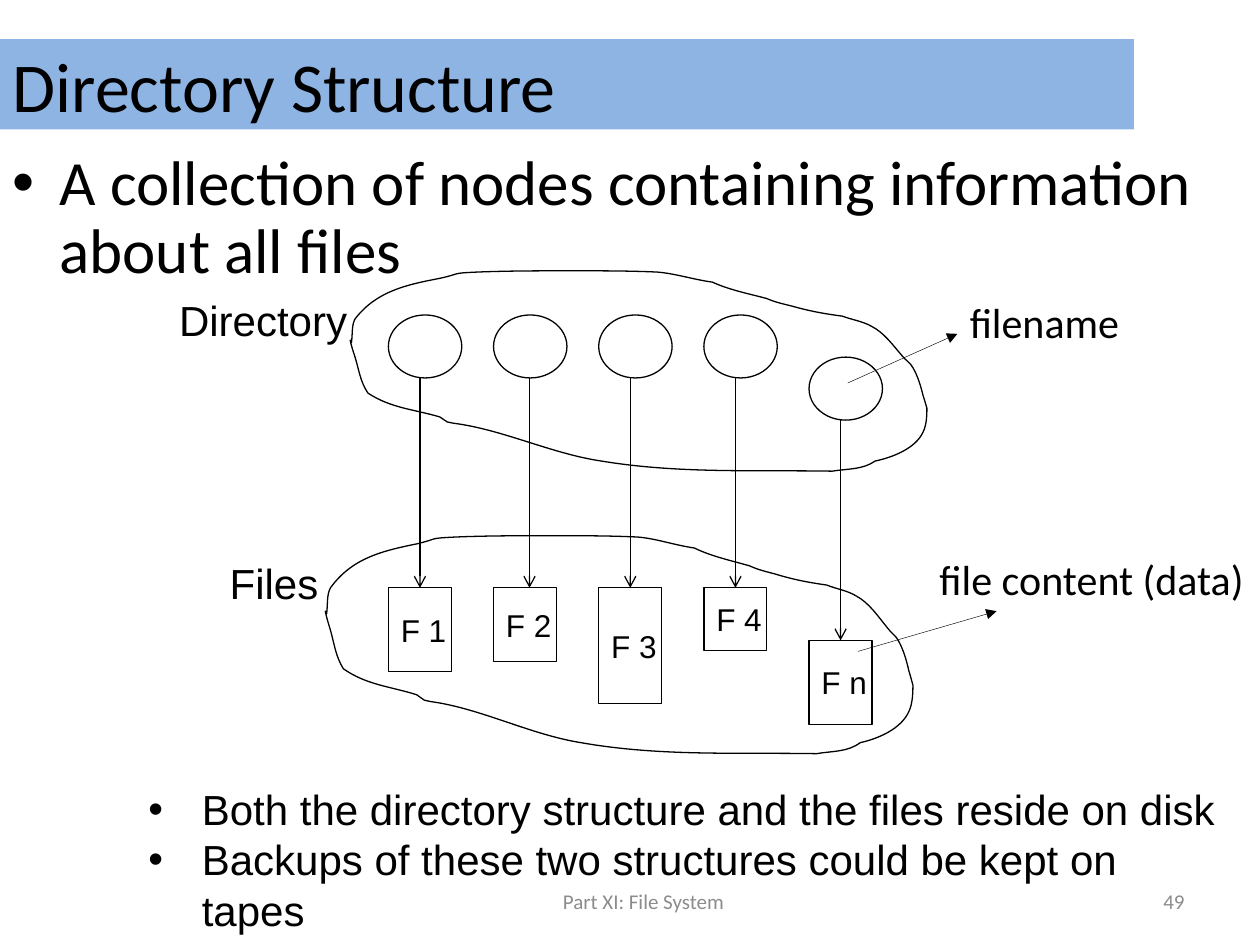
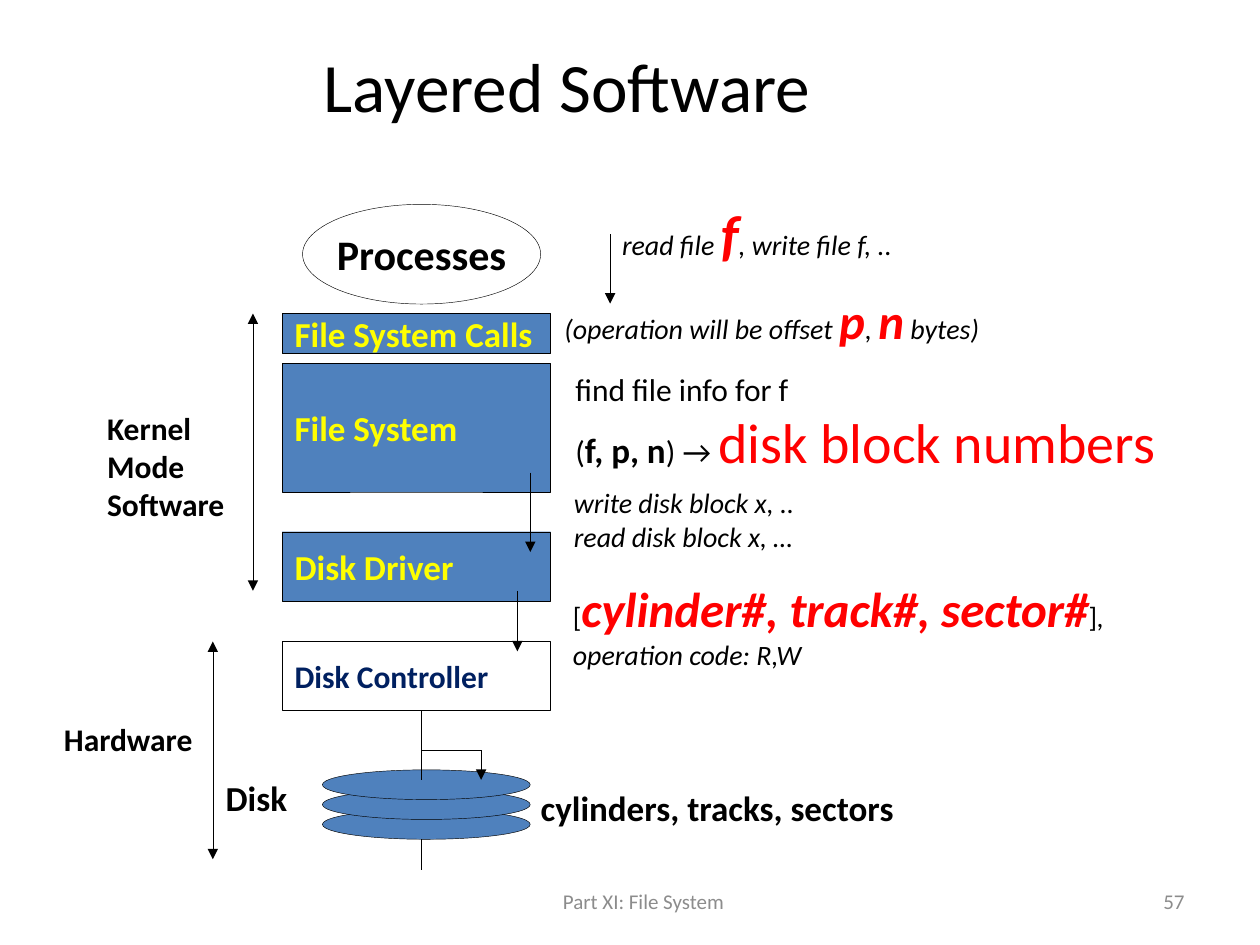
from dataclasses import dataclass

from pptx import Presentation
from pptx.dml.color import RGBColor
from pptx.enum.shapes import MSO_CONNECTOR, MSO_SHAPE
from pptx.enum.text import MSO_ANCHOR, MSO_AUTO_SIZE, PP_ALIGN
from pptx.oxml.ns import qn
from pptx.oxml.xmlchemy import OxmlElement
from pptx.util import Cm, Pt

RECT, OVAL = MSO_SHAPE.RECTANGLE, MSO_SHAPE.OVAL
STRAIGHT = MSO_CONNECTOR.STRAIGHT
TOP, MIDDLE = MSO_ANCHOR.TOP, MSO_ANCHOR.MIDDLE
LEFT, CENTER, RIGHT = PP_ALIGN.LEFT, PP_ALIGN.CENTER, PP_ALIGN.RIGHT
FIT, FIXED = MSO_AUTO_SIZE.SHAPE_TO_FIT_TEXT, MSO_AUTO_SIZE.NONE
TITLE_ONLY = 5


@dataclass(frozen=True)
class Theme:
    sans: str = "Calibri"
    plain: str = "Arial"
    ink: str = "000000"
    paper: str = "FFFFFF"
    band: str = "8EB4E3"
    layer: str = "4F81BD"
    layer_text: str = "FFFF00"
    hardware_text: str = "002060"
    accent: str = "FF0000"
    muted: str = "8C8C8C"
    title: float = 40
    body: float = 36
    label: float = 24
    layer_size: float = 20
    caption: float = 18
    note: float = 16
    footer: float = 12
    thin: float = 0.25
    outline: float = 0.75


THEME = Theme()


@dataclass(frozen=True)
class Box:
    """A region in centimetres."""
    left: float
    top: float
    width: float
    height: float

    def inner(self, dx, dy, width, height):
        return Box(self.left + dx, self.top + dy, width, height)

    def point(self, dx, dy):
        return Cm(self.left + dx), Cm(self.top + dy)

    def lengths(self):
        return (*self.point(0, 0), Cm(self.width), Cm(self.height))


# ---- Shared building parts ----

def style_font(font, size=None, color=None, bold=None, italic=None, name=None):
    if name:
        font.name = name
    if size:
        font.size = Pt(size)
    if color:
        font.color.rgb = RGBColor.from_string(color)
    if bold is not None:
        font.bold = bold
    if italic is not None:
        font.italic = italic


def write(frame, lines, size, color=THEME.ink, name=THEME.sans, align=LEFT,
          anchor=TOP, wrap=False, fit=FIXED, bold=False, italic=False):
    """Each line is a string or a list of (text, font changes) runs."""
    frame.word_wrap, frame.auto_size, frame.vertical_anchor = wrap, fit, anchor
    for index, line in enumerate(lines):
        paragraph = frame.add_paragraph() if index else frame.paragraphs[0]
        paragraph.alignment = align
        style_font(paragraph.font, size, color, bold, italic, name)
        for text, changes in [(line, {})] if isinstance(line, str) else line:
            run = paragraph.add_run()
            run.text = text
            style_font(run.font, **changes)


def add_text(slide, box, lines, size, **options):
    frame = slide.shapes.add_textbox(*box.lengths()).text_frame
    write(frame, lines, size, **options)
    return frame


def add_label(slide, box, lines, size, **options):
    return add_text(slide, box, lines, size, fit=FIT, **options)


def paint(shape, fill, weight):
    shape.shadow.inherit = False
    if fill:
        shape.fill.solid()
        shape.fill.fore_color.rgb = RGBColor.from_string(fill)
    else:
        shape.fill.background()
    shape.line.color.rgb = RGBColor.from_string(THEME.ink)
    shape.line.width = Pt(weight)


def add_figure(slide, preset, box, fill=None, weight=THEME.thin):
    figure = slide.shapes.add_shape(preset, *box.lengths())
    paint(figure, fill, weight)
    return figure


def add_line(slide, start, end, weight=THEME.thin, head=None, tail=None):
    line = slide.shapes.add_connector(STRAIGHT, *start, *end)
    line.line.color.rgb = RGBColor.from_string(THEME.ink)
    line.line.width = Pt(weight)
    properties = line._element.find(qn("p:spPr"))
    for tag, kind in (("a:headEnd", head), ("a:tailEnd", tail)):
        if kind:
            tip = OxmlElement(tag)
            tip.set("type", kind)
            properties.find(qn("a:ln")).append(tip)
    properties.append(OxmlElement("a:effectLst"))
    return line


def add_bullets(frame, hanging):
    for paragraph in frame.paragraphs:
        properties = paragraph._p.get_or_add_pPr()
        properties.set("marL", str(Cm(hanging)))
        properties.set("indent", str(-Cm(hanging)))
        for tag, key, value in (("a:buFont", "typeface", THEME.plain), ("a:buChar", "char", "•")):
            bullet = OxmlElement(tag)
            bullet.set(key, value)
            properties.insert_element_before(bullet, "a:tabLst", "a:defRPr", "a:extLst")


def start_slide(deck, title, number, size=THEME.title, align=LEFT, band=None):
    slide = deck.slides.add_slide(deck.slide_layouts[TITLE_ONLY])
    heading = slide.shapes.title
    heading.left, heading.top, heading.width, heading.height = Box(0, 0.79, 22.86, 1.82).lengths()
    if band:
        heading.fill.solid()
        heading.fill.fore_color.rgb = RGBColor.from_string(band)
    write(heading.text_frame, [title], size, align=align, anchor=MIDDLE, wrap=True)
    for box, text, side in ((Box(8.68, 17.65, 8.59, 1.02), "Part XI: File System", CENTER),
                            (Box(18.21, 17.65, 5.92, 1.02), number, RIGHT)):
        add_text(slide, box, [text], THEME.footer, color=THEME.muted,
                 align=side, anchor=MIDDLE, wrap=True)
    return slide


# ---- Directory structure ----

# Cloud outline on a 458 x 161 grid: two control points and an end per curve
CLOUD_GRID = (458, 161)
CLOUD_START = (1, 57)
CLOUD_CURVES = (
    (2, 50, 1, 43, 4, 38), (21, 16, 45, 11, 71, 6), (89, 2, 79, 2, 101, 1),
    (126, 0, 151, 0, 177, 0), (199, 0, 221, 0, 243, 1), (257, 2, 272, 7, 287, 9),
    (300, 15, 315, 18, 330, 22), (337, 25, 342, 26, 350, 28), (364, 32, 375, 34, 390, 36),
    (398, 39, 406, 40, 413, 44), (423, 49, 430, 59, 437, 67), (440, 71, 444, 73, 446, 77),
    (450, 84, 452, 91, 454, 99), (455, 102, 457, 109, 457, 109),
    (457, 113, 457, 122, 454, 128), (448, 141, 430, 148, 416, 151),
    (406, 158, 394, 157, 382, 159), (318, 158, 260, 161, 199, 151),
    (159, 145, 121, 126, 82, 121), (80, 121, 79, 120, 77, 120),
    (75, 119, 73, 117, 71, 116), (51, 110, 32, 109, 14, 97), (8, 88, 7, 79, 4, 69),
    (4, 69, 0, 57, 0, 55), (0, 54, 1, 56, 1, 57),
)
NODE_LEFT, NODE_PITCH = 7.83, 2.12


def add_cloud(slide, box):
    def place(x, y):
        return box.point(x * box.width / CLOUD_GRID[0], y * box.height / CLOUD_GRID[1])

    builder = slide.shapes.build_freeform(*place(*CLOUD_START))
    builder.add_line_segments([place(*curve[i:i + 2]) for curve in CLOUD_CURVES for i in (0, 2, 4)])
    cloud = builder.convert_to_shape()
    paint(cloud, None, THEME.outline)
    # Join every three segments into one cubic curve
    outline = next(cloud._element.iter(qn("a:path")))
    segments = outline.findall(qn("a:lnTo"))
    for i in range(0, len(CLOUD_CURVES) * 3, 3):
        curve = OxmlElement("a:cubicBezTo")
        for segment in segments[i:i + 3]:
            curve.append(segment[0])
            outline.remove(segment)
        outline.append(curve)
    for closing in outline.findall(qn("a:close")):
        outline.remove(closing)
    outline.append(OxmlElement("a:close"))


def add_directory(slide, box):
    nodes = [add_figure(slide, OVAL, box.inner(NODE_LEFT + i * NODE_PITCH, 0.89 + drop, 1.48, 1.27),
                        THEME.paper, THEME.outline)
             for i, drop in enumerate((0, 0, 0, 0, 0.85))]
    add_cloud(slide, box.inner(7.06, 0, 11.65, box.height))
    add_label(slide, box.inner(3.36, 0.36, 3.94, 1.27), ["Directory"], THEME.label,
              name=THEME.plain, anchor=MIDDLE)
    add_line(slide, box.point(17.09, 2.26), box.point(19.3, 1.27), tail="triangle")
    add_label(slide, box.inner(19.3, 0.39, 3.56, 1.3), ["filename"], THEME.label)
    return nodes


def add_files(slide, box):
    files = []
    for i, (name, drop, height) in enumerate((("F 1", 0, 1.69), ("F 2", 0, 1.48), ("F 3", 0, 2.33),
                                              ("F 4", 0, 1.27), ("F n", 1.06, 1.69))):
        file = add_figure(slide, RECT, box.inner(NODE_LEFT + i * NODE_PITCH, 1.05 + drop, 1.27, height),
                          THEME.paper, THEME.outline)
        write(file.text_frame, [name], THEME.caption, name=THEME.plain, anchor=MIDDLE)
        files.append(file)
    add_cloud(slide, box.inner(6.56, 0, 11.87, box.height))
    add_label(slide, box.inner(4.38, 0.31, 2.31, 1.27), ["Files"], THEME.label,
              name=THEME.plain, anchor=MIDDLE)
    add_line(slide, box.point(17.3, 2.33), box.point(20.09, 1.52), tail="triangle")
    add_label(slide, box.inner(18.69, 0.24, 6.71, 1.3), ["file content (data)"], THEME.label)
    return files


def build_directory_slide(deck):
    slide = start_slide(deck, "Directory Structure", "49", band=THEME.band)
    summary = add_text(slide, Box(0, 2.92, 25.4, 1.4),
                       ["A collection of nodes containing information about all files"],
                       THEME.body, wrap=True)
    summary.paragraphs[0].line_spacing = 0.9
    add_bullets(summary, 0.95)
    nodes = add_directory(slide, Box(0, 5.46, 25.4, 4.09))
    files = add_files(slide, Box(0, 10.8, 25.4, 4.45))
    # Each node points to its file; the second arrow stands off centre
    for node, file, shift in zip(nodes, files, (0, 0.09, 0, 0, 0)):
        x = file.left + file.width // 2 + Cm(shift)
        link = add_line(slide, (x, node.top + node.height), (x, file.top), THEME.outline, tail="arrow")
        if not shift:
            link.end_connect(file, 0)
    storage = add_text(slide, Box(2.74, 15.67, 22.15, 2.26),
                       ["Both the directory structure and the files reside on disk",
                        "Backups of these two structures could be kept on tapes"],
                       THEME.label, name=THEME.plain, wrap=True)
    add_bullets(storage, 1.08)


# ---- Layered software ----

def add_layers(slide, box):
    processes = add_figure(slide, OVAL, box.inner(0.41, 0.01, 4.8, 2.01))
    write(processes.text_frame, ["Processes"], THEME.label, align=CENTER, anchor=MIDDLE, bold=True)
    software = (THEME.layer, THEME.layer_text, THEME.layer_size)
    for name, top, height, (fill, color, size) in (
            ("File System Calls", 2.21, 0.81, software),
            ("File System", 3.21, 2.6, software),
            ("Disk Driver", 6.61, 1.4, software),
            ("Disk Controller", 8.82, 1.39, (None, THEME.hardware_text, THEME.caption))):
        layer = add_figure(slide, RECT, box.inner(0, top, box.width, height), fill)
        write(layer.text_frame, [name], size, color=color, anchor=MIDDLE, bold=True)
    for x, start, end in ((5, 5.42, 7.02), (4.74, 7.8, 9.02)):
        add_line(slide, box.point(x, start), box.point(x, end), tail="triangle")


def add_disk(slide, box):
    for level in (2, 1, 0):
        add_figure(slide, OVAL, box.inner(2.21, 1.19 + level * 0.4, 4.19, 0.6), THEME.layer)
    # Spindle, and the branch to the platter
    spindle, branch, fork, platter = 4.21, 5.41, 0.79, 1.39
    for start, end, tail in (((spindle, 0), (spindle, fork), None),
                             ((spindle, fork), (spindle, platter), None),
                             ((spindle, 2.59), (spindle, box.height), None),
                             ((spindle, fork), (branch, fork), None),
                             ((branch, fork), (branch, platter), "triangle")):
        add_line(slide, box.point(*start), box.point(*end), tail=tail)
    add_label(slide, box.inner(0.01, 1.19, 1.75, 1.12), ["Disk"], THEME.layer_size, bold=True)
    add_label(slide, box.inner(6.36, 1.41, 7.67, 1.12), ["cylinders, tracks, sectors"],
              THEME.layer_size, bold=True)


def add_span(slide, box, lines, label):
    """A double arrow along the right side, with its label on the left."""
    add_line(slide, box.point(box.width, 0), box.point(box.width, box.height),
             head="triangle", tail="triangle")
    add_label(slide, box.inner(*label), lines, THEME.caption, bold=True)


def add_requests(slide, box):
    def key(size, **changes):
        return dict(size=size, color=THEME.accent, **changes)

    strong = key(28, bold=True)
    add_line(slide, box.point(1.17, 0.83), box.point(1.17, 2.23), tail="triangle")
    for place, lines in (
            ((1.16, 0, 6.02, 1.63),
             [[("read file ", {}), ("f", key(32, bold=True)), (", write file f, ..", {})]]),
            ((0, 1.84, 8.99, 1.45),
             [[("(operation will be offset ", {}), ("p", strong), (", ", {}),
               ("n", strong), (" bytes)", {})]]),
            ((0.19, 5.78, 5.59, 1.63), ["write disk block x, ..", "read disk block x, …"]),
            ((0.17, 7.65, 11.48, 2.13),
             [[("[", {"italic": False}), ("cylinder#, track#, sector#", strong),
               ("]", {"italic": False}), (",", {})], "operation code: R,W"])):
        add_label(slide, box.inner(*place), lines, THEME.note, italic=True)
    add_label(slide, box.inner(0.22, 3.44, 12.37, 2.39),
              ["find file info for f",
               [("(", {}), ("f, p, n", {"size": THEME.layer_size, "bold": True}),
                (") → ", {}), ("disk block numbers", key(32))]], THEME.caption)


def build_layers_slide(deck):
    slide = start_slide(deck, "Layered Software", "57", size=39.6, align=CENTER)
    add_layers(slide, Box(5.69, 4.11, 5.41, 10.22))
    add_disk(slide, Box(4.29, 14.33, 14.02, 3.2))
    add_span(slide, Box(1.91, 6.32, 3.19, 5.59), ["Kernel", "Mode", "Software"], (0, 1.81, 2.9, 2.57))
    add_span(slide, Box(1.04, 12.93, 3.25, 4.39), ["Hardware"], (0, 1.46, 3.12, 1.04))
    add_requests(slide, Box(11.13, 3.89, 12.59, 9.77))


def main():
    deck = Presentation()
    deck.slide_width, deck.slide_height = Cm(25.4), Cm(19.05)
    build_directory_slide(deck)
    build_layers_slide(deck)
    deck.save("out.pptx")


if __name__ == "__main__":
    main()
